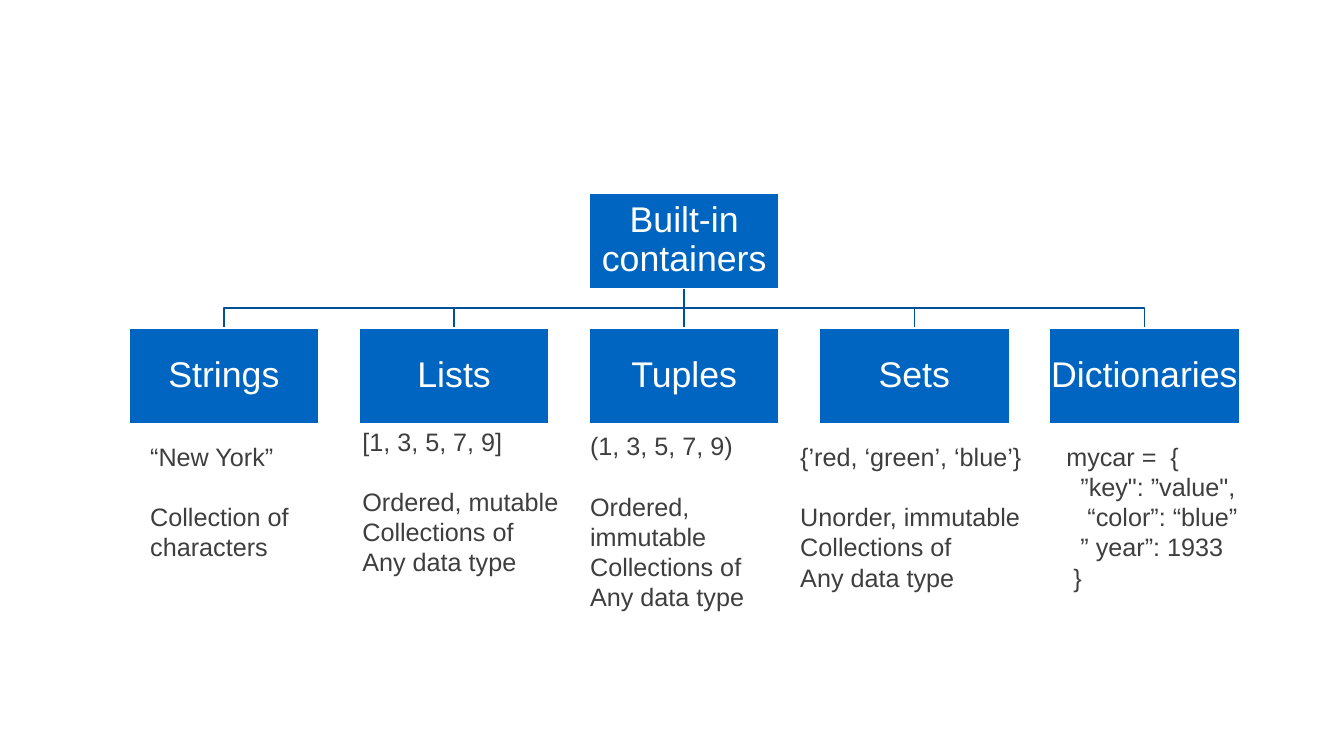
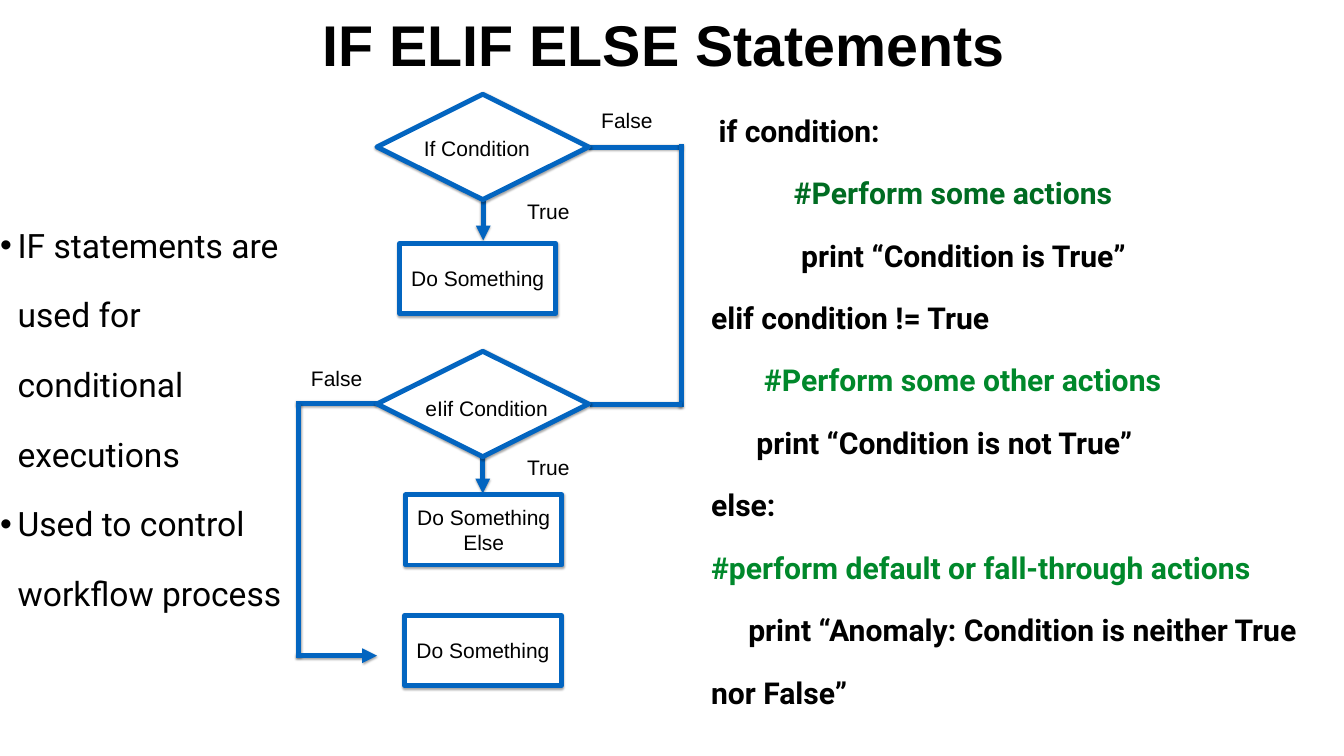
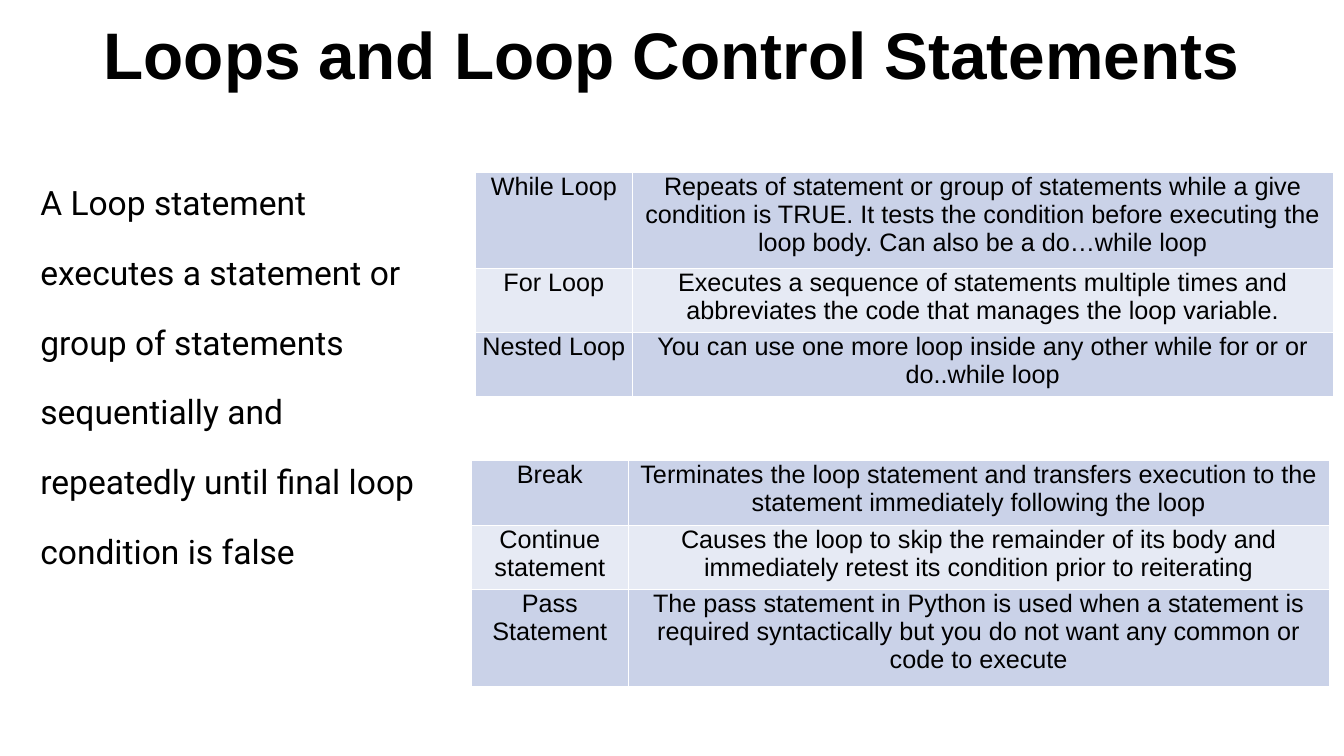
from dataclasses import dataclass

from lxml.etree import SubElement
from pptx import Presentation
from pptx.dml.color import RGBColor
from pptx.enum.shapes import MSO_CONNECTOR, MSO_SHAPE
from pptx.enum.text import MSO_ANCHOR, MSO_AUTO_SIZE, PP_ALIGN
from pptx.oxml.ns import qn
from pptx.util import Inches, Pt


@dataclass(frozen=True)
class Theme:
    width: float = 26.67
    height: float = 15
    sans: str = "Arial"
    body: str = "Roboto"
    black: str = "000000"
    white: str = "FFFFFF"
    grey: str = "3E3E3E"
    node: str = "0065C0"
    branch: str = "005098"
    flow: str = "0365C0"
    dark_green: str = "006C22"
    green: str = "00882B"
    bands: tuple = ("CAD2E8", "E6EAF4")
    node_size: int = 51
    note_size: int = 36
    body_size: int = 48
    code_size: int = 43
    flow_size: int = 30
    flow_width: int = 7
    spacing: float = 1.73
    inset: float = 0.05


THEME = Theme()

ROOT = "Built-in containers"
CONTAINERS = [
    ("Strings", (2.93, 8.7, 3.02, 2.52), ["“New York”", "Collection of", "characters"]),
    ("Lists", (7.14, 8.4, 4.05, 3.13),
     ["[1, 3, 5, 7, 9]", "Ordered, mutable", "Collections of", "Any data type"]),
    ("Tuples", (11.66, 8.49, 4.03, 3.74),
     ["(1, 3, 5, 7, 9)", "Ordered, immutable", "Collections of", "Any data type"]),
    ("Sets", (15.83, 8.7, 4.67, 3.13),
     ["{’red, ‘green’, ‘blue’}", "Unorder, immutable", "Collections of", "Any data type"]),
    ("Dictionaries", (21.11, 8.7, 3.6, 3.13),
     ["mycar =  {", "”key\": ”value\",", "“color”: “blue”", "” year”: 1933", "}"]),
]
DICTIONARY_INDENTS = [0, 0.28, 0.42, 0.28, 0.14]
TREE = dict(left=2.56, top=3.83, step=4.566, row=2.68, width=3.77, height=1.89)

IF_TITLE = "IF ELIF ELSE Statements "
IF_POINTS = [
    "IF statements are used for conditional executions",
    "Used to control workflow process",
]
CODE = [
    ("if condition:", 0.15, THEME.black),
    ("#Perform some actions", 1.64, THEME.dark_green),
    ("print “Condition is True”", 1.79, THEME.black),
    ("elif condition != True", 0, THEME.black),
    ("#Perform some other actions", 1.05, THEME.green),
    ("print “Condition is not True”", 0.9, THEME.black),
    ("else:", 0, THEME.black),
    ("#perform default or fall-through actions", 0, THEME.green),
    ("print “Anomaly: Condition is neither True nor False”", 0.74, THEME.black),
]
DECISIONS = [
    ("If Condition", (7.48, 1.87, 4.2, 2.09), (8.36, 2.64, 2.22, 0.56)),
    ("eIif Condition", (7.48, 6.97, 4.2, 2.09), (8.39, 7.8, 2.55, 0.56)),
]
ACTIONS = [
    ("Do Something", (7.93, 4.83, 3.1, 1.39)),
    ("Do Something Else", (8.05, 9.82, 3.1, 1.39)),
    ("Do Something", (8.03, 12.21, 3.11, 1.39)),
]
OUTCOMES = [
    ("False", (11.58, 2.12, 1.72, 0.53)),
    ("True", (10.12, 3.93, 1.52, 0.53)),
    ("False", (5.82, 7.23, 1.72, 0.53)),
    ("True", (10.12, 9.01, 1.52, 0.53)),
]
FLOW_LINES = [
    ((11.69, 2.92), (13.55, 2.92), False),
    ((13.52, 8.07), (13.52, 2.86), False),
    ((11.71, 8.02), (13.53, 8.02), False),
    ((9.59, 3.99), (9.59, 4.77), True),
    ((9.58, 9.01), (9.58, 9.79), True),
    ((5.87, 8), (7.48, 8), False),
    ((5.93, 13.03), (5.93, 8.01), False),
    ((5.87, 13.01), (7.48, 13.01), True),
]

LOOP_TITLE = "Loops and Loop Control Statements"
LOOP_TEXT = (
    "A Loop statement executes a statement or group of statements "
    "sequentially and repeatedly until final loop condition is false"
)
LOOP_TABLES = [
    ((9.44, 3.42), (1.91, 1.27, 1.27), [
        ("While Loop", "Repeats of statement or group of statements while a give condition is TRUE. "
         "It tests the condition before executing the loop body. Can also be a do…while loop"),
        ("For Loop", "Executes a sequence of statements multiple times and abbreviates the code "
         "that manages the loop variable."),
        ("Nested Loop", "You can use one more loop inside any other while for or or do..while loop"),
    ]),
    ((9.36, 9.14), (1.28, 1.28, 1.91), [
        ("Break", "Terminates the loop statement and transfers execution to the statement "
         "immediately following the loop"),
        ("Continue statement", "Causes the loop to skip the remainder of its body and immediately "
         "retest its condition prior to reiterating"),
        ("Pass Statement", "The pass statement in Python is used when a statement is required "
         "syntactically but you do not want any common or code to execute"),
    ]),
]
TABLE_COLUMNS = (3.1, 13.92)


def inches(values):
    return [Inches(value) for value in values]


def color(value):
    return RGBColor.from_string(value)


def apply(target, values):
    for name, value in values.items():
        setattr(target, name, value)


def set_insets(target, inset):
    apply(target, {f"margin_{side}": Inches(inset) for side in ("left", "top", "right", "bottom")})


def write(paragraph, text, size, ink, font=THEME.sans, bold=False, **layout):
    run = paragraph.add_run()
    run.text = text
    apply(run.font, dict(size=Pt(size), name=font, bold=bold))
    run.font.color.rgb = color(ink)
    apply(paragraph, layout)


def indent(paragraph, margin, first):
    properties = paragraph._p.get_or_add_pPr()
    properties.set("marL", str(Inches(margin)))
    properties.set("indent", str(Inches(first)))
    return properties


def next_paragraph(frame, index):
    return frame.add_paragraph() if index else frame.paragraphs[0]


def add_text_box(slide, box, wrap=True):
    frame = slide.shapes.add_textbox(*inches(box)).text_frame
    set_insets(frame, THEME.inset)
    apply(frame, dict(word_wrap=wrap, auto_size=MSO_AUTO_SIZE.SHAPE_TO_FIT_TEXT))
    return frame


def add_shadow(effects):
    shadow = SubElement(effects, qn("a:outerShdw"), blurRad=str(Pt(3)), dist=str(Pt(1.8)),
                        dir="5400000", rotWithShape="0")
    ink = SubElement(shadow, qn("a:srgbClr"), val=THEME.black)
    SubElement(ink, qn("a:alpha"), val="34000")


def set_line(shape, ink, width):
    shape.line.color.rgb = color(ink)
    shape.line.width = Pt(width)


def add_block(slide, kind, box, fill, line=None, width=0, shadow=False):
    shape = slide.shapes.add_shape(kind, *inches(box))
    shape.fill.solid()
    shape.fill.fore_color.rgb = color(fill)
    if line:
        set_line(shape, line, width)
    else:
        shape.line.fill.background()
    shape.shadow.inherit = False
    if shadow:
        add_shadow(shape._element.spPr.find(qn("a:effectLst")))
    return shape


def label_block(shape, text, size, ink, inset=THEME.inset, **layout):
    frame = shape.text_frame
    set_insets(frame, inset)
    apply(frame, dict(word_wrap=True, vertical_anchor=MSO_ANCHOR.MIDDLE))
    write(frame.paragraphs[0], text, size, ink, alignment=PP_ALIGN.CENTER, **layout)


def add_line(slide, start, end, ink, width, arrow=False, shadow=False):
    connector = slide.shapes.add_connector(MSO_CONNECTOR.STRAIGHT, *inches(start + end))
    set_line(connector, ink, width)
    if arrow:
        SubElement(connector.line._get_or_add_ln(), qn("a:tailEnd"), type="triangle")
    effects = SubElement(connector._element.spPr, qn("a:effectLst"))
    if shadow:
        add_shadow(effects)


def add_titled_slide(presentation, text, box, size):
    slide = presentation.slides.add_slide(presentation.slide_layouts[5])
    title = slide.shapes.title
    apply(title, dict(zip(("left", "top", "width", "height"), inches(box))))
    frame = title.text_frame
    set_insets(frame, 0.1)
    apply(frame, dict(word_wrap=True, auto_size=MSO_AUTO_SIZE.NONE,
                      vertical_anchor=MSO_ANCHOR.MIDDLE))
    write(frame.paragraphs[0], text, size, THEME.black, bold=True, alignment=PP_ALIGN.CENTER)
    return slide


def add_branch(slide, root_x, child_x, top, bottom):
    if root_x == child_x:
        add_line(slide, (root_x, top), (child_x, bottom), THEME.branch, 2)
        return
    middle = (top + bottom) / 2
    points = [(root_x, middle), (child_x, middle), (child_x, bottom)]
    builder = slide.shapes.build_freeform(Inches(root_x), Inches(top))
    builder.add_line_segments([inches(point) for point in points], close=False)
    branch = builder.convert_to_shape()
    branch.fill.background()
    set_line(branch, THEME.branch, 2)
    branch.shadow.inherit = False


def add_node(slide, text, left, top):
    box = (left, top, TREE["width"], TREE["height"])
    node = add_block(slide, MSO_SHAPE.RECTANGLE, box, THEME.node, THEME.white, 2)
    label_block(node, text, THEME.node_size, THEME.white, 0.02, line_spacing=0.9)


def build_containers(presentation):
    slide = presentation.slides.add_slide(presentation.slide_layouts[6])
    lefts = [TREE["left"] + column * TREE["step"] for column in range(len(CONTAINERS))]
    centers = [left + TREE["width"] / 2 for left in lefts]
    middle = len(CONTAINERS) // 2
    child_top = TREE["top"] + TREE["row"]
    for center in reversed(centers):
        add_branch(slide, centers[middle], center, TREE["top"] + TREE["height"], child_top)
    add_node(slide, ROOT, lefts[middle], TREE["top"])
    for left, (name, box, lines) in zip(lefts, CONTAINERS):
        add_node(slide, name, left, child_top)
        frame = add_text_box(slide, box)
        is_dictionary = name == "Dictionaries"
        for index, line in enumerate(lines):
            paragraph = next_paragraph(frame, index)
            write(paragraph, line, THEME.note_size, THEME.grey)
            if is_dictionary:
                indent(paragraph, DICTIONARY_INDENTS[index], 0)
            elif index == 1:
                paragraph.space_before = Pt(THEME.note_size * 1.2)


def build_conditions(presentation):
    slide = add_titled_slide(presentation, IF_TITLE, (1.94, 0.11, 22.78, 1.49), 82)
    points = add_text_box(slide, (-0.2, 3.82, 6.11, 6.94))
    for index, text in enumerate(IF_POINTS):
        paragraph = next_paragraph(points, index)
        write(paragraph, text, THEME.body_size, THEME.black, THEME.body,
              line_spacing=THEME.spacing)
        properties = indent(paragraph, 0.5, -0.35)
        SubElement(properties, qn("a:buFont"), typeface=THEME.sans)
        SubElement(properties, qn("a:buChar"), char="•")
    code = add_text_box(slide, (14.06, 1.65, 12.37, 12.09))
    for index, (text, first, ink) in enumerate(CODE):
        paragraph = next_paragraph(code, index)
        write(paragraph, text, THEME.code_size, ink, THEME.body, True,
              line_spacing=THEME.spacing)
        indent(paragraph, 0, first)
    outline = dict(fill=THEME.white, line=THEME.flow, width=THEME.flow_width, shadow=True)
    for start, end, arrow in FLOW_LINES:
        add_line(slide, start, end, THEME.flow, THEME.flow_width, arrow, True)
    for text, box, text_box in DECISIONS:
        add_block(slide, MSO_SHAPE.DIAMOND, box, **outline)
        frame = add_text_box(slide, text_box, False)
        write(frame.paragraphs[0], text, THEME.flow_size, THEME.black)
    for labels, style in ((ACTIONS, outline), (OUTCOMES, dict(fill=THEME.white))):
        for text, box in labels:
            block = add_block(slide, MSO_SHAPE.RECTANGLE, box, **style)
            label_block(block, text, THEME.flow_size, THEME.black)


def format_cell(cell, text, fill):
    set_insets(cell, 0)
    write(cell.text_frame.paragraphs[0], text, THEME.note_size, THEME.black,
          alignment=PP_ALIGN.CENTER)
    properties = cell._tc.get_or_add_tcPr()
    for side in ("lnL", "lnR", "lnT", "lnB"):
        border = SubElement(properties, qn(f"a:{side}"), w=str(Pt(1)))
        SubElement(SubElement(border, qn("a:solidFill")), qn("a:srgbClr"), val=THEME.white)
    cell.fill.solid()
    cell.fill.fore_color.rgb = color(fill)


def add_loop_table(slide, corner, heights, rows):
    box = corner + (sum(TABLE_COLUMNS), sum(heights))
    table = slide.shapes.add_table(len(rows), len(TABLE_COLUMNS), *inches(box)).table
    apply(table, dict(first_row=False, horz_banding=False))
    for column, width in zip(table.columns, TABLE_COLUMNS):
        column.width = Inches(width)
    for index, (height, texts) in enumerate(zip(heights, rows)):
        table.rows[index].height = Inches(height)
        for cell, text in zip(table.rows[index].cells, texts):
            format_cell(cell, text, THEME.bands[index % 2])


def build_loops(presentation):
    slide = add_titled_slide(presentation, LOOP_TITLE, (1.94, -0.04, 22.78, 2.2), 94)
    paragraph = add_text_box(slide, (0.25, 2.98, 8.63, 11.25)).paragraphs[0]
    write(paragraph, LOOP_TEXT, THEME.body_size, THEME.black, THEME.body,
          line_spacing=THEME.spacing)
    indent(paragraph, 0.5, 0)
    for corner, heights, rows in LOOP_TABLES:
        add_loop_table(slide, corner, heights, rows)


def main():
    presentation = Presentation()
    apply(presentation, dict(slide_width=Inches(THEME.width), slide_height=Inches(THEME.height)))
    for build in (build_containers, build_conditions, build_loops):
        build(presentation)
    presentation.save("out.pptx")


if __name__ == "__main__":
    main()
